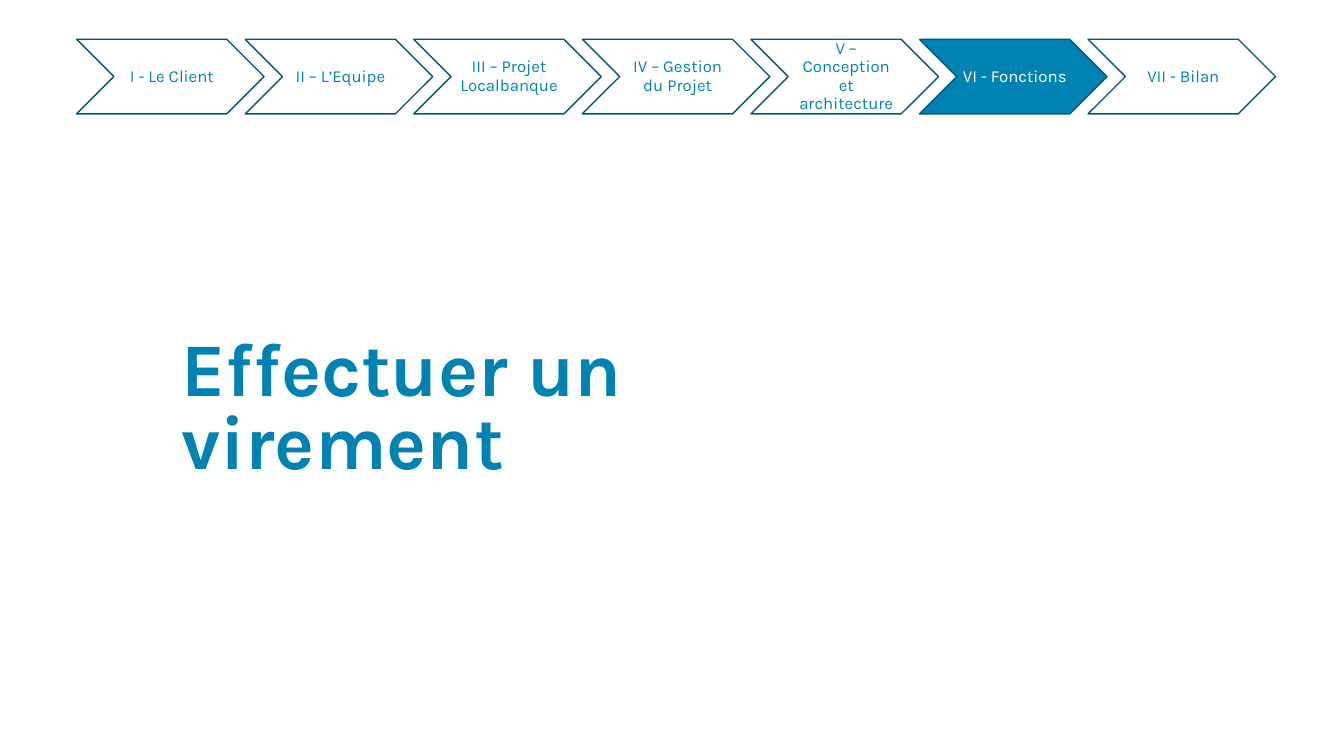
from dataclasses import dataclass

from pptx import Presentation
from pptx.dml.color import RGBColor
from pptx.enum.shapes import MSO_SHAPE as Shape
from pptx.enum.text import MSO_ANCHOR as Anchor, PP_ALIGN as Align
from pptx.slide import Slide
from pptx.text.text import TextFrame
from pptx.util import Inches, Pt

BLUE, NAVY, WHITE = "0083B3", "005778", "FFFFFF"
LEFT, TOP, PITCH = 0.76, 0.39, 1.672
WIDTH, HEIGHT = 1.86, 0.74


@dataclass
class Step:
    label: str
    active: bool = False


STEPS = [
    Step("I - Le Client"),
    Step("II – L’Equipe"),
    Step("III – Projet Localbanque"),
    Step("IV – Gestion du Projet"),
    Step("V – Conception et architecture"),
    Step("VI - Fonctions", active=True),
    Step("VII - Bilan"),
]


def color(code: str) -> RGBColor:
    return RGBColor.from_string(code)


def add_box(slide: Slide, left: float, top: float, width: float,
            height: float, anchor: Anchor) -> TextFrame:
    box = slide.shapes.add_textbox(
        Inches(left), Inches(top), Inches(width), Inches(height))
    frame = box.text_frame
    frame.word_wrap = True
    frame.vertical_anchor = anchor
    return frame


def write(frame: TextFrame, text: str, size: int, code: str,
          spacing: float, bold: bool = False) -> None:
    line = frame.paragraphs[0]
    line.line_spacing = spacing
    run = line.add_run()
    run.text = text
    run.font.name = "Karla"
    run.font.size = Pt(size)
    run.font.bold = bold
    run.font.color.rgb = color(code)


def add_step(slide: Slide, step: Step, left: float) -> None:
    arrow = slide.shapes.add_shape(
        Shape.CHEVRON, Inches(left), Inches(TOP), Inches(WIDTH), Inches(HEIGHT))
    arrow.shadow.inherit = False
    arrow.fill.solid()
    arrow.fill.fore_color.rgb = color(BLUE if step.active else WHITE)
    arrow.line.color.rgb = color(NAVY)
    arrow.line.width = Pt(1)

    notch = HEIGHT / 2
    frame = add_box(slide, left + notch, TOP, WIDTH - 2 * notch, HEIGHT,
                    Anchor.MIDDLE)
    frame.margin_left = Inches(0.05)
    frame.margin_top = frame.margin_right = frame.margin_bottom = Inches(0.02)
    write(frame, step.label, 12, WHITE if step.active else BLUE, 0.9)
    frame.paragraphs[0].alignment = Align.CENTER
    frame.paragraphs[0].space_after = Pt(4.2)


def main() -> None:
    deck = Presentation()
    deck.slide_width, deck.slide_height = Inches(13.33), Inches(7.5)
    slide = deck.slides.add_slide(deck.slide_layouts[6])

    title = add_box(slide, 1.7, 2.1, 5.5, 2.75, Anchor.BOTTOM)
    write(title, "Effectuer un virement", 54, BLUE, 0.8, bold=True)
    for i, step in enumerate(STEPS):
        add_step(slide, step, LEFT + i * PITCH)

    deck.save("out.pptx")


if __name__ == "__main__":
    main()
